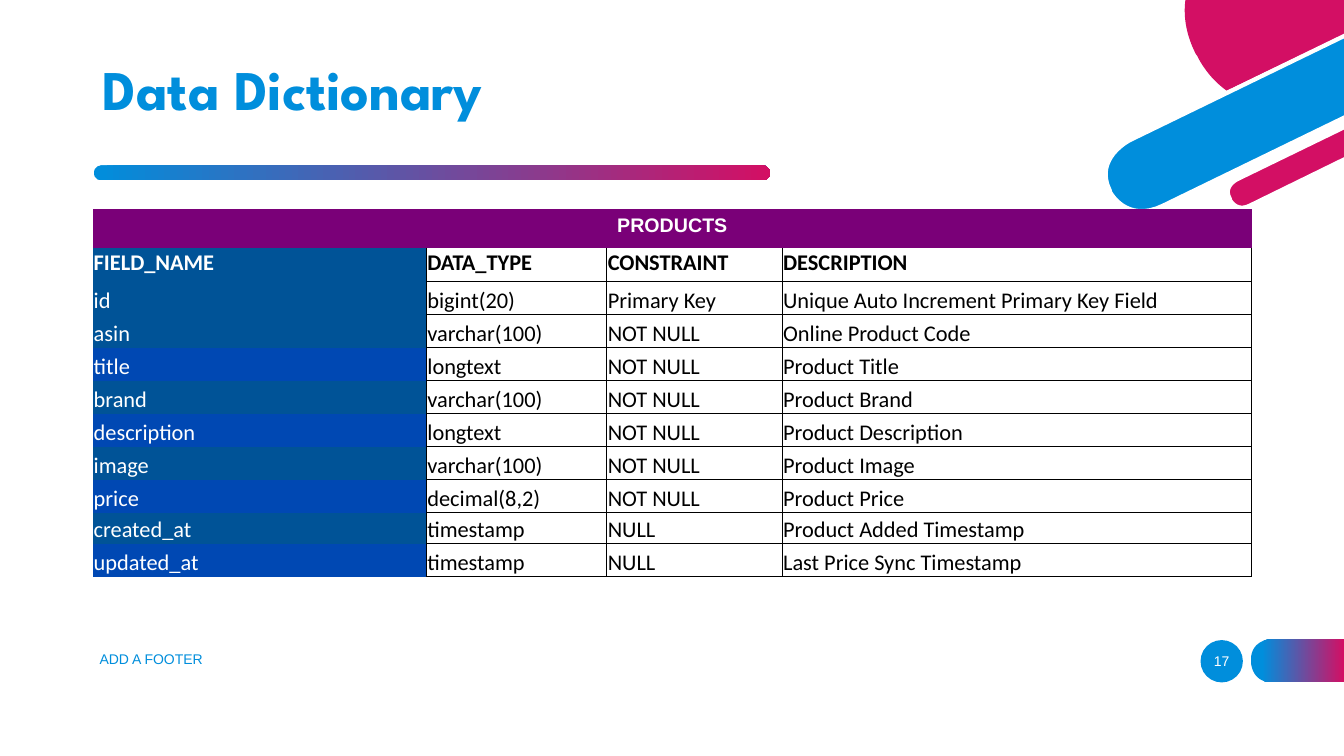
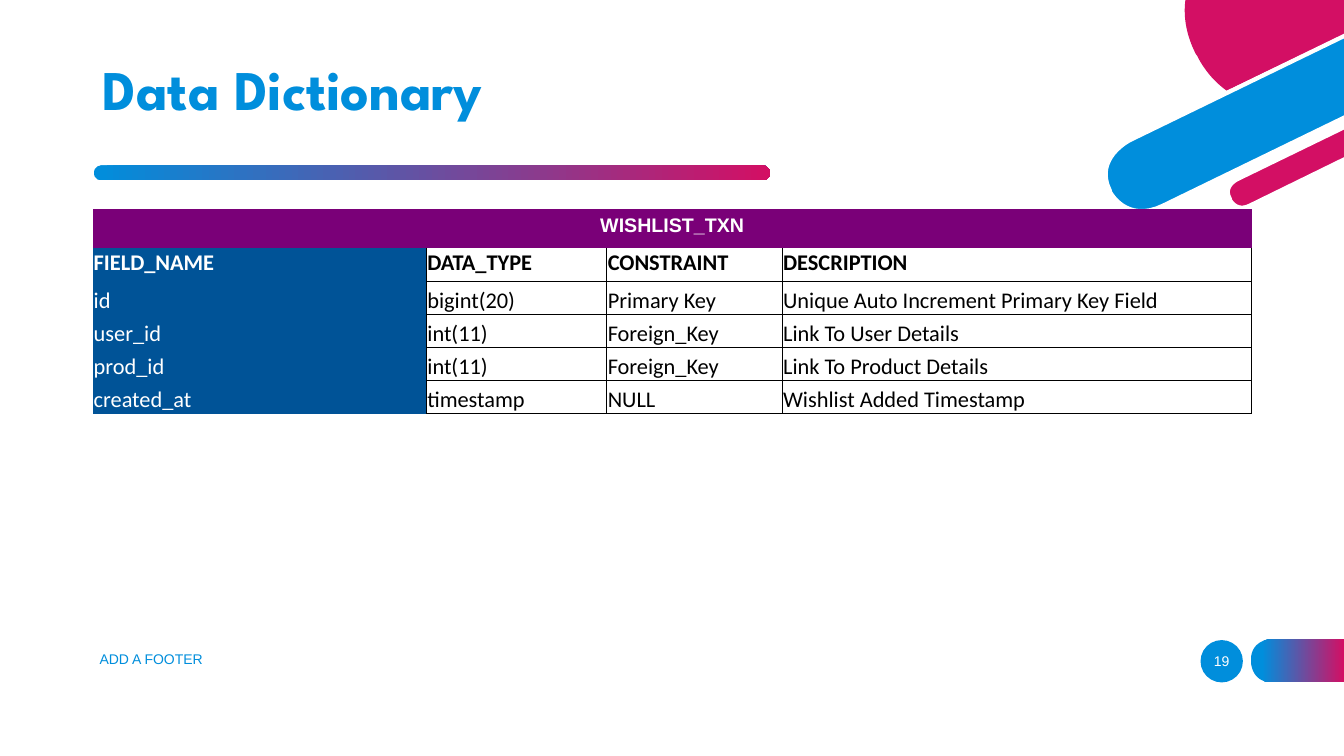
import dataclasses

import pptx
import pptx.dml.color
import pptx.enum.shapes
import pptx.enum.text
import pptx.oxml
import pptx.oxml.ns
import pptx.util

ALIGN = pptx.enum.text.PP_ALIGN
ANCHOR = pptx.enum.text.MSO_ANCHOR
SHAPE = pptx.enum.shapes.MSO_SHAPE

# Square grid: 75 rows fill the slide's height, 133.33 columns its width.
SLIDE_WIDTH = pptx.util.Inches(13.333)
SLIDE_HEIGHT = pptx.util.Inches(7.5)
UNIT = SLIDE_HEIGHT / 75
MARGIN = 9.2
COLUMNS = (33.1, 17.9, 17.4, 46.6)
NAME_ROW = 3.94
FIELD_ROW = 3.28
SHORT_ROW = 3.06
TABLE_TOP = 20.7
CURVE_STEPS = 16

# Two numbers end a line, six are the controls and end of a curve.
DISC = ((118.8, 5.6), (118.8, 5.6, 119.7, 7.6, 121.7, 9), (133.33, 3.4),
        (133.33, 0), (117.6, 0), (117.4, 1.5, 117.6, 3.3, 118.6, 5.3))
WIDE_BAR = ((112.1, 13.9), (112.1, 13.9, 108.5, 15.7, 110.1, 18.9), (110.1, 19),
            (110.1, 19, 111.7, 22.2, 115.4, 20.4), (133.7, 11.5), (133.7, 3.4))
NARROW_BAR = ((133.7, 12.45), (122.7, 17.8), (122.7, 17.8, 121.3, 18.5, 122, 19.7),
              (122, 19.8), (122, 19.8, 122.6, 21.1, 124, 20.4), (133.7, 15.65))
PAGE_TAB = ((126.2, 67.7), (133.33, 67.7), (133.33, 63.4), (126.2, 63.4),
            (126.2, 63.4, 124.1, 63.4, 124.1, 65.5), (124.1, 65.6),
            (124.1, 65.6, 124.1, 67.7, 126.2, 67.7))

HEADINGS = ("FIELD_NAME", "DATA_TYPE", "CONSTRAINT", "DESCRIPTION")
ID_FIELD = ("id", "bigint(20)", "Primary Key", "Unique Auto Increment Primary Key Field")
PRODUCT_FIELDS = (
    ID_FIELD,
    ("asin", "varchar(100)", "NOT NULL", "Online Product Code"),
    ("title", "longtext", "NOT NULL", "Product Title"),
    ("brand", "varchar(100)", "NOT NULL", "Product Brand"),
    ("description", "longtext", "NOT NULL", "Product Description"),
    ("image", "varchar(100)", "NOT NULL", "Product Image"),
    ("price", "decimal(8,2)", "NOT NULL", "Product Price"),
    ("created_at", "timestamp", "NULL", "Product Added Timestamp"),
    ("updated_at", "timestamp", "NULL", "Last Price Sync Timestamp"),
)
WISHLIST_FIELDS = (
    ID_FIELD,
    ("user_id", "int(11)", "Foreign_Key", "Link To User Details"),
    ("prod_id", "int(11)", "Foreign_Key", "Link To Product Details"),
    ("created_at", "timestamp", "NULL", "Wishlist Added Timestamp"),
)


@dataclasses.dataclass(frozen=True)
class Theme:
    blue: str = "008EDC"
    pink: str = "D30F64"
    purple: str = "7A0078"
    field: str = "005397"
    field_stripe: str = "0048B3"
    white: str = "FFFFFF"
    black: str = "000000"
    title_font: str = "League Spartan"
    label_font: str = "Arial"
    table_font: str = "Calibri"
    title_size: int = 40
    name_size: int = 14
    table_size: int = 16
    footer_size: int = 10


THEME = Theme()


def grid(units):
    return pptx.util.Emu(round(units * UNIT))


def color(code):
    return pptx.dml.color.RGBColor.from_string(code)


def write(text_frame, text, font, size, code, bold=False, align=ALIGN.LEFT):
    text_frame.text = text
    paragraph = text_frame.paragraphs[0]
    paragraph.alignment = align
    run_font = paragraph.runs[0].font
    run_font.name = font
    run_font.size = pptx.util.Pt(size)
    run_font.bold = bold
    run_font.color.rgb = color(code)
    return paragraph


def paint(shape, code, outline=None):
    shape.shadow.inherit = False
    shape.fill.solid()
    shape.fill.fore_color.rgb = color(code)
    if outline:
        shape.line.color.rgb = color(outline)
        shape.line.width = pptx.util.Pt(3)
    else:
        shape.line.fill.background()


def paint_gradient(shape, start=0):
    shape.shadow.inherit = False
    shape.line.fill.background()
    shape.fill.gradient()
    shape.fill.gradient_angle = 0
    stops = zip(shape.fill.gradient_stops, (start, 1), (THEME.blue, THEME.pink))
    for stop, position, code in stops:
        stop.position = position
        stop.color.rgb = color(code)


def curve_points(start, controls):
    """Points along the cubic curve from start, without start itself."""
    points = (start, controls[:2], controls[2:4], controls[4:])
    for step in range(1, CURVE_STEPS + 1):
        t = step / CURVE_STEPS
        weights = ((1 - t) ** 3, 3 * t * (1 - t) ** 2, 3 * t * t * (1 - t), t ** 3)
        yield tuple(sum(weight * point[axis] for weight, point in zip(weights, points))
                    for axis in (0, 1))


def add_outline(slide, segments):
    points = [segments[0]]
    for segment in segments[1:]:
        points.extend([segment] if len(segment) == 2 else curve_points(points[-1], segment))
    corners = [(grid(x), grid(y)) for x, y in points]
    builder = slide.shapes.build_freeform(*corners[0])
    builder.add_line_segments(corners[1:], close=True)
    return builder.convert_to_shape()


def add_shape(slide, kind, *box):
    return slide.shapes.add_shape(kind, *map(grid, box))


def add_label(slide, box, text, code, align=ALIGN.LEFT):
    text_frame = slide.shapes.add_textbox(*map(grid, box)).text_frame
    text_frame.word_wrap = True
    text_frame.vertical_anchor = ANCHOR.MIDDLE
    paragraph = write(text_frame, text, THEME.label_font, THEME.footer_size, code, align=align)
    paragraph.space_after = pptx.util.Pt(6)


def add_corner_art(slide):
    paint(add_outline(slide, DISC), THEME.pink)
    paint(add_outline(slide, WIDE_BAR), THEME.blue, THEME.white)
    paint(add_outline(slide, NARROW_BAR), THEME.pink, THEME.white)


def add_footer(slide, number):
    paint(add_shape(slide, SHAPE.OVAL, 119.1, 63.5, 4.2, 4.2), THEME.blue)
    paint_gradient(add_outline(slide, PAGE_TAB), 0.12)
    add_label(slide, (8.9, 63.4, 45, 4), "ADD A FOOTER", THEME.blue)
    add_label(slide, (118.2, 63.6, 6, 4), str(number), THEME.white, ALIGN.CENTER)


def set_title(slide, text):
    title = slide.shapes.title
    title.left, title.top, title.width, title.height = map(grid, (MARGIN, 4, 99, 10.3))
    text_frame = title.text_frame
    text_frame.vertical_anchor = ANCHOR.MIDDLE
    text_frame.auto_size = pptx.enum.text.MSO_AUTO_SIZE.NONE
    paragraph = write(text_frame, text, THEME.title_font, THEME.title_size, THEME.blue, bold=True)
    paragraph.line_spacing = 0.9
    rule = add_shape(slide, SHAPE.ROUNDED_RECTANGLE, 9.3, 16.4, 67.1, 1.5)
    rule.adjustments[0] = 0.5
    paint_gradient(rule)


def set_borders(cell, sides):
    """Draw the named sides (of L, R, T, B) and hide the others."""
    properties = cell._tc.get_or_add_tcPr()
    for side in "LRTB":
        fill = "<a:noFill/>"
        if side in sides:
            fill = f'<a:solidFill><a:srgbClr val="{THEME.black}"/></a:solidFill>'
        properties.append(pptx.oxml.parse_xml(
            f'<a:ln{side} {pptx.oxml.ns.nsdecls("a")} w="12700">{fill}</a:ln{side}>'))


def format_cell(cell, sides, fill=None, margins=(0.1, 0.1, 0.1, 0), anchor=ANCHOR.TOP):
    set_borders(cell, sides)
    if fill:
        cell.fill.solid()
        cell.fill.fore_color.rgb = color(fill)
    else:
        cell.fill.background()
    cell.vertical_anchor = anchor
    (cell.margin_left, cell.margin_top,
     cell.margin_right, cell.margin_bottom) = map(grid, margins)


def add_dictionary(slide, name, fields, striped=False, short_field=None):
    rows = (HEADINGS, *fields)
    heights = [NAME_ROW] + [SHORT_ROW if row[0] == short_field else FIELD_ROW for row in rows]
    frame = slide.shapes.add_table(
        len(heights), len(COLUMNS), grid(MARGIN), grid(TABLE_TOP),
        grid(sum(COLUMNS)), grid(sum(heights)))
    table = frame.table
    table.first_row = table.horz_banding = False
    for column, width in zip(table.columns, COLUMNS):
        column.width = grid(width)
    for row, height in zip(table.rows, heights):
        row.height = grid(height)

    for cell in table.rows[0].cells:
        format_cell(cell, "", THEME.purple, (1.2, 0.6, 1.2, 0.6))
    name_cell = table.cell(0, 0)
    name_cell.merge(table.cell(0, len(COLUMNS) - 1))
    write(name_cell.text_frame, name, THEME.label_font, THEME.name_size, THEME.white,
          bold=True, align=ALIGN.CENTER)

    for row_index, values in enumerate(rows, 1):
        heading = row_index == 1
        stripe = striped and row_index > 2 and row_index % 2 == 0
        for column_index, text in enumerate(values):
            cell = table.cell(row_index, column_index)
            anchor = ANCHOR.TOP if heading else ANCHOR.BOTTOM
            if column_index == 0:
                code = THEME.white
                fill = THEME.field_stripe if stripe else THEME.field
                format_cell(cell, "R", fill, anchor=anchor)
            else:
                code = THEME.black
                format_cell(cell, "LRB" if heading else "LRTB", anchor=anchor)
            write(cell.text_frame, text, THEME.table_font, THEME.table_size, code, bold=heading)


def add_dictionary_slide(presentation, number, name, fields, **options):
    slide = presentation.slides.add_slide(presentation.slide_layouts[5])
    add_corner_art(slide)
    set_title(slide, "Data Dictionary")
    add_footer(slide, number)
    add_dictionary(slide, name, fields, **options)


def main():
    presentation = pptx.Presentation()
    presentation.slide_width = SLIDE_WIDTH
    presentation.slide_height = SLIDE_HEIGHT
    add_dictionary_slide(presentation, 17, "PRODUCTS", PRODUCT_FIELDS,
                         striped=True, short_field="created_at")
    add_dictionary_slide(presentation, 19, "WISHLIST_TXN", WISHLIST_FIELDS)
    presentation.save("out.pptx")


if __name__ == "__main__":
    main()
